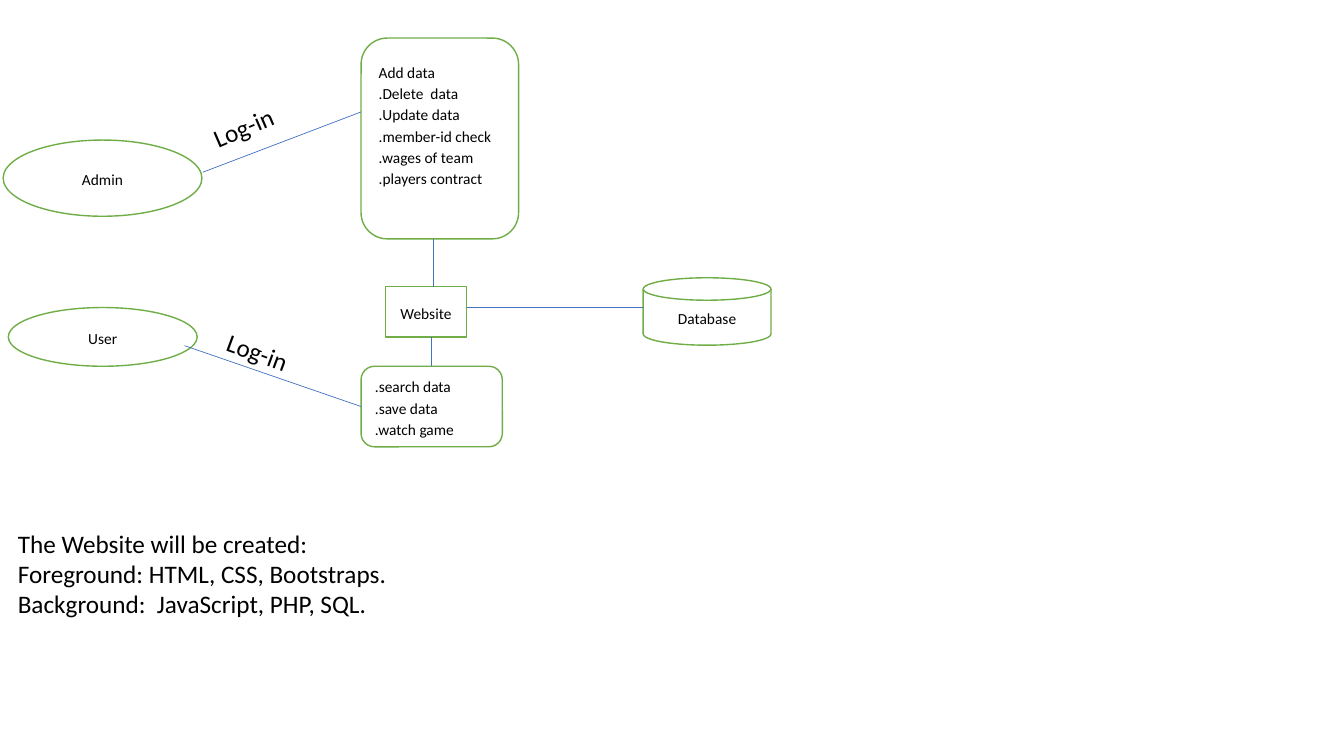
from dataclasses import dataclass
from typing import Optional

from pptx import Presentation
from pptx import util as u
from pptx.dml.color import RGBColor
from pptx.enum import shapes, text
from pptx.oxml.ns import qn
from lxml import etree

WHITE = RGBColor(0xFF, 0xFF, 0xFF)
BLACK = RGBColor(0x00, 0x00, 0x00)
GREEN = RGBColor(0x70, 0xAD, 0x47)
BLUE = RGBColor(0x44, 0x72, 0xC4)
FONT = "Calibri"
KIND = shapes.MSO_SHAPE
TOP_SIDE, LEFT_SIDE = 0, 1


@dataclass
class Node:
    """A green outlined shape; lengths in centimetres."""
    key: str
    kind: shapes.MSO_SHAPE
    left: float
    top: float
    width: float
    height: float
    lines: tuple[str, ...]
    align: text.PP_ALIGN = text.PP_ALIGN.CENTER
    inset_top: Optional[float] = None  # set: text starts at the top


@dataclass
class Link:
    start: tuple[float, float]
    end: tuple[float, float]
    target: Optional[str] = None
    side: int = LEFT_SIDE


@dataclass
class Label:
    left: float
    top: float
    width: float
    height: float
    lines: tuple[str, ...]
    rotation: float = 0


NODES = [
    Node("admin", KIND.OVAL, 0.08, 3.53, 5.01, 1.92, ("Admin",)),
    Node("admin actions", KIND.ROUNDED_RECTANGLE, 9.1, 0.96, 3.97, 5.06,
         ("Add data", ".Delete  data", ".Update data", ".member-id check",
          ".wages of team", ".players contract"), text.PP_ALIGN.LEFT, 0.37),
    Node("website", KIND.RECTANGLE, 9.71, 7.22, 2.05, 1.27, ("Website",)),
    Node("user actions", KIND.ROUNDED_RECTANGLE, 9.1, 9.23, 3.56, 2.03,
         (".search data", ".save data", ".watch game"), text.PP_ALIGN.LEFT),
    Node("database", KIND.FLOWCHART_MAGNETIC_DISK, 16.21, 7, 3.22, 1.7,
         ("Database",)),
    Node("user", KIND.OVAL, 0.21, 7.75, 4.76, 1.48, ("User",)),
]

LINKS = [
    Link((5.11, 4.34), (9.1, 2.82)),
    Link((10.92, 7.22), (10.92, 6.02)),
    Link((10.88, 8.49), (10.88, 9.23), "user actions", TOP_SIDE),
    Link((11.76, 7.75), (16.21, 7.75)),
    Link((4.65, 8.71), (9.1, 10.25), "user actions", LEFT_SIDE),
]

LABELS = [
    Label(5.08, 2.64, 2.34, 1.02, ("Log-in",), -23.4),
    Label(5.45, 8.41, 2.34, 1.02, ("Log-in",), 20.2),
    Label(0.2, 13.18, 18.5, 2.57,
          ("The Website will be created:", "Foreground: HTML, CSS, Bootstraps.",
           "Background:  JavaScript, PHP, SQL.")),
]


def write_lines(frame, lines: tuple[str, ...], size: float,
                align: text.PP_ALIGN, spacing: float) -> None:
    frame.word_wrap = True
    for index, line in enumerate(lines):
        para = frame.paragraphs[0] if index == 0 else frame.add_paragraph()
        para.alignment = align
        para.line_spacing = spacing
        span = para.add_run()
        span.text = line
        span.font.name = FONT
        span.font.size = u.Pt(size)
        span.font.color.rgb = BLACK


def draw_node(page, node: Node):
    box = page.shapes.add_shape(node.kind, u.Cm(node.left), u.Cm(node.top),
                                u.Cm(node.width), u.Cm(node.height))
    box.shadow.inherit = False
    box.fill.solid()
    box.fill.fore_color.rgb = WHITE
    box.line.color.rgb = GREEN
    box.line.width = u.Pt(1)
    frame = box.text_frame
    frame.vertical_anchor = text.MSO_ANCHOR.MIDDLE
    if node.inset_top is not None:
        frame.vertical_anchor = text.MSO_ANCHOR.TOP
        frame.margin_top = u.Cm(node.inset_top)
    write_lines(frame, node.lines, 11, node.align, 1.15)
    return box


def draw_link(page, link: Link, boxes: dict) -> None:
    line = page.shapes.add_connector(
        shapes.MSO_CONNECTOR.STRAIGHT,
        *(u.Cm(value) for value in link.start + link.end))
    if link.target:
        line.end_connect(boxes[link.target], link.side)
    line.line.color.rgb = BLUE
    line.line.width = u.Pt(0.5)
    etree.SubElement(line._element.spPr, qn("a:effectLst"))


def draw_label(page, label: Label) -> None:
    box = page.shapes.add_textbox(u.Cm(label.left), u.Cm(label.top),
                                  u.Cm(label.width), u.Cm(label.height))
    box.rotation = label.rotation
    write_lines(box.text_frame, label.lines, 18, text.PP_ALIGN.LEFT, 1.0)


def main() -> None:
    deck = Presentation()
    deck.slide_width, deck.slide_height = u.Cm(33.87), u.Cm(19.05)
    page = deck.slides.add_slide(deck.slide_layouts[6])

    # Actors, actions and systems
    boxes = {node.key: draw_node(page, node) for node in NODES}

    # Connections between them
    for link in LINKS:
        draw_link(page, link, boxes)

    # Log-in labels and the technology note
    for label in LABELS:
        draw_label(page, label)

    deck.save("out.pptx")


if __name__ == "__main__":
    main()
